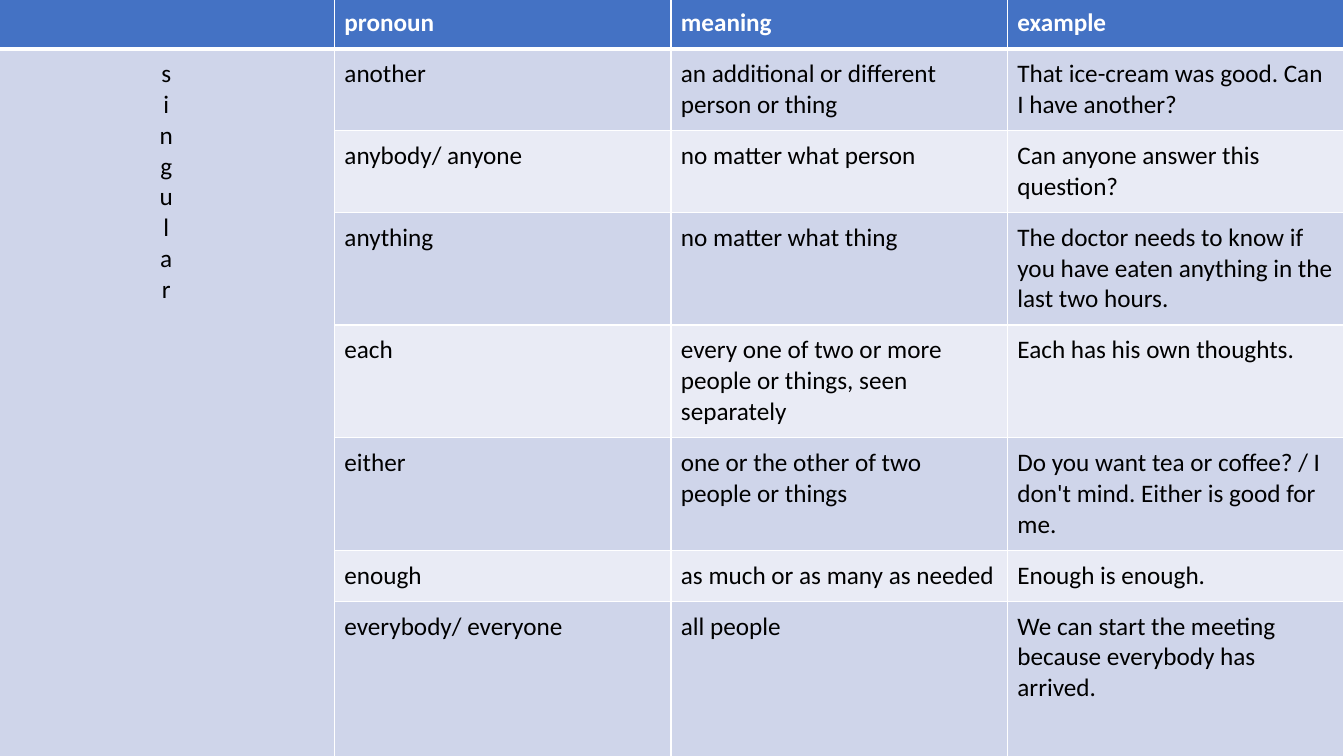
from lxml.etree import SubElement
from pptx import Presentation
from pptx.dml.color import RGBColor
from pptx.enum.text import PP_ALIGN
from pptx.oxml.ns import qn
from pptx.util import Cm, Pt

HEADINGS = ("", "pronoun", "meaning", "example")
NUMBER = "singular"
PRONOUNS = [
    ("another", "an additional or different person or thing",
     "That ice-cream was good. Can I have\u00a0another?"),
    ("anybody/ anyone", "no matter what person",
     "Can\u00a0anyone\u00a0answer this question?"),
    ("anything", "no matter what thing",
     "The doctor needs to know if you have eaten\u00a0anything\u00a0in the last two hours."),
    ("each", "every one of two or more people or things, seen separately",
     "Each\u00a0has his own thoughts."),
    ("either", "one or the other of two people or things",
     "Do you want tea or coffee? / I don't mind.\u00a0Either\u00a0is good for me."),
    ("enough", "as much or as many as needed", "Enough\u00a0is enough."),
    ("everybody/ everyone", "all people",
     "We can start the meeting because\u00a0everybody\u00a0has arrived."),
]
LINES_PER_ROW = (1, 2, 2, 3, 3, 3, 1)
LAST_HEIGHT = 4.18
LINE_HEIGHT = 0.78
PADDING = 0.25
COLORS = {"header": "4472C4", "odd": "CFD5EA", "even": "E9EBF5",
          "white": "FFFFFF", "black": "000000"}
FONT = "Calibri"


def add_span(para, text, color, bold):
    span = para.add_run()
    span.text = text
    span.font.name = FONT
    span.font.size = Pt(18)
    span.font.bold = bold
    span.font.color.rgb = RGBColor.from_string(COLORS[color])


def set_borders(cell, top, bottom):
    properties = cell._tc.get_or_add_tcPr()
    widths = {"a:lnL": 1, "a:lnR": 1, "a:lnT": top, "a:lnB": bottom}
    for position, (side, width) in enumerate(widths.items()):
        line = SubElement(properties, qn(side), w=str(Pt(width)))
        fill = SubElement(line, qn("a:solidFill"))
        SubElement(fill, qn("a:srgbClr"), val=COLORS["white"])
        properties.insert(position, line)


def style_cell(cell, row):
    fill = "header" if row == 0 else "odd" if row % 2 else "even"
    cell.fill.solid()
    cell.fill.fore_color.rgb = RGBColor.from_string(COLORS[fill])
    cell.margin_left = cell.margin_right = Cm(PADDING)
    cell.margin_top = cell.margin_bottom = Cm(PADDING)
    set_borders(cell, 3 if row == 1 else 1, 3 if row == 0 else 1)


deck = Presentation()
deck.slide_width, deck.slide_height = Cm(33.87), Cm(19.05)
page = deck.slides.add_slide(deck.slide_layouts[6])

heights = [lines * LINE_HEIGHT + 2 * PADDING for lines in LINES_PER_ROW] + [LAST_HEIGHT]
contents = [HEADINGS] + [("", *pronoun) for pronoun in PRONOUNS]
table = page.shapes.add_table(len(contents), len(HEADINGS), Cm(-0.05), Cm(-0.05),
                              Cm(33.92), Cm(sum(heights))).table

for row, (height, texts) in enumerate(zip(heights, contents)):
    table.rows[row].height = Cm(height)
    for column, text in enumerate(texts):
        cell = table.cell(row, column)
        style_cell(cell, row)
        if text:
            add_span(cell.text_frame.paragraphs[0], text,
                     "black" if row else "white", row == 0)

number_cell = table.cell(1, 0)
number_cell.merge(table.cell(len(PRONOUNS), 0))
number_para = number_cell.text_frame.paragraphs[0]
number_para.alignment = PP_ALIGN.CENTER
for index, letter in enumerate(NUMBER):
    if index:
        number_para.add_line_break()
    add_span(number_para, letter, "black", False)

deck.save("out.pptx")
